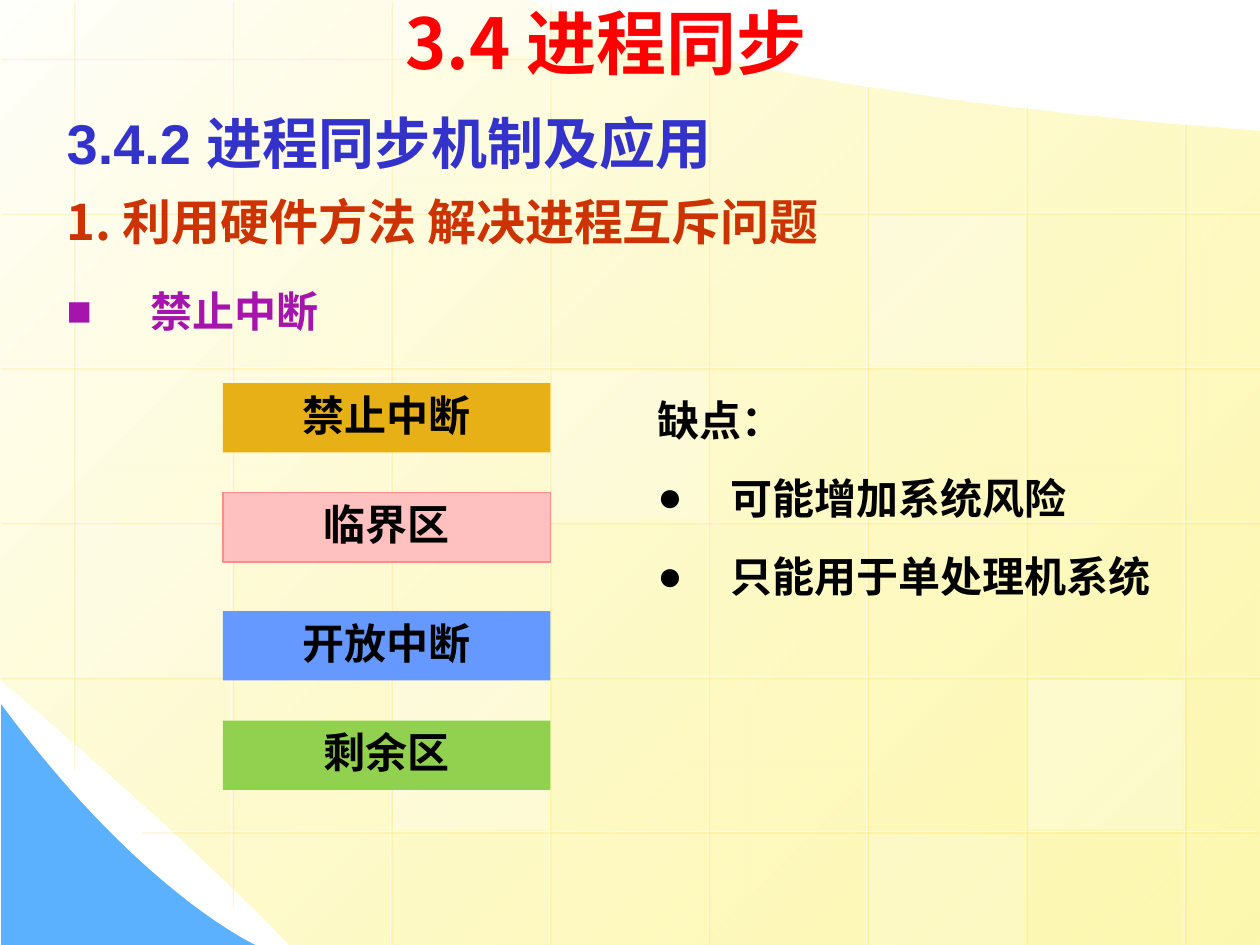
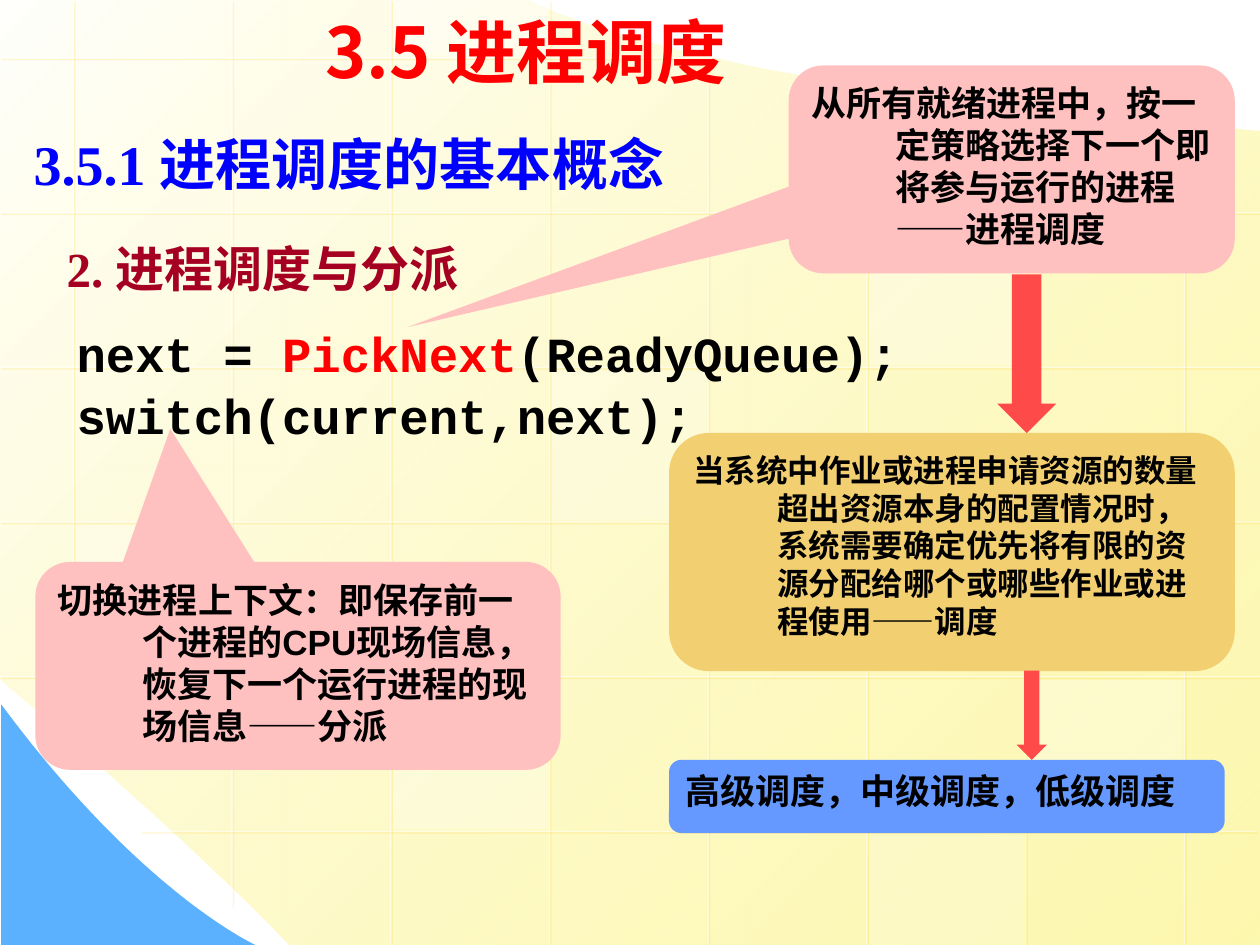
"""Build two slides on process synchronisation and scheduling."""
from lxml.etree import SubElement, fromstring
from pptx import Presentation
from pptx.dml.color import RGBColor
from pptx.enum.shapes import MSO_CONNECTOR, MSO_SHAPE
from pptx.enum.text import MSO_ANCHOR, MSO_AUTO_SIZE, PP_ALIGN
from pptx.oxml.ns import nsdecls, qn
from pptx.util import Pt

HUES = {
    "white": "FFFFFF", "cream": "FFFFFB", "lemon": "FDF58D", "sky": "5CB1FE",
    "glow": "FFCC00", "red": "FF0000", "black": "000000", "violet": "A514AC",
    "indigo": "3333CC", "rust": "CC3300", "wine": "A50021", "blue": "0000FF",
    "gold": "E7B016", "pink": "FFC0C0", "rose": "FF8B8B", "azure": "6699FF",
    "green": "92D050", "coral": "FF4A4A", "sand": "F2D072",
}
SANS, ARIAL = "Noto Sans CJK SC", "Arial"
TIMES, MONO = "Times New Roman", "Courier New"
WIDE, HIGH = 720, 540

PAGE = [(720, 75), [(720, 540)], [(165.6, 540)],
        [(104, 476), (0, 388), (0, 388)], [(0, 0)], [(303, 0.5)],
        [(303, 0.5), (386.6, 49.7), (720, 75)]]
CURVE = [(0.7, 402.5), [(0.7, 540)], [(146, 540)],
         [(146, 540), (80.6, 510.5), (0.7, 402.5)]]
COLS = [(0, 438.5), (0, 517.7), (0, HIGH), (0, HIGH),
        (31, HIGH), (49, HIGH), (61, HIGH), (70.5, HIGH)]
ROWS = [(0, 409)] + [(0, WIDE)] * 4 + [(80, 718)]
TILES = [(3, 2, 25), (6, 4, 30), (0, 3, 20), (5, 5, 20),
         (2, -1, 40), (2, 4, 30), (5, 1, 30)]

SYNC = {
    "title": ("3.4 进程同步", (224.6, -2.2, 305.3, 51.8)),
    "texts": [
        ((31, 151.2, 283.7, 45.4), 1.3, 0.3, [
            ("■", 48, [("禁止中断", 24, TIMES, "violet")])]),
        ((31, 54.7, 538.6, 94.3), 1.1, 0.2, [
            ("", 0, [("3.4.2 进程同步机制及应用", 32, ARIAL, "indigo")]),
            ("", 0, [("1. 利用硬件方法 解决进程互斥问题", 28, SANS, "rust")])]),
        ((368.6, 213.1, 308.9, 164.2), 1.3, 0.3, [
            ("", 41.8, [("缺点：", 24, SANS, "black")]),
            ("●", 41.8, [("可能增加系统风险", 24, SANS, "black")]),
            ("●", 41.8, [("只能用于单处理机系统", 24, SANS, "black")])]),
    ],
}
STEPS = [("禁止中断", 218.9, "gold", None), ("临界区", 281.5, "pink", "rose"),
         ("开放中断", 349.2, "azure", None), ("剩余区", 411.8, "green", None)]

PLAN = {
    "title": ("3.5 进程调度", (178.6, -2.2, 414.7, 61.9)),
    "texts": [
        ((31, 122.4, 351.4, 51.1), 1.3, 0.3, [
            ("", 0, [("2. 进程调度与分派", 28, TIMES, "wine")])]),
        ((12.2, 70.6, 478, 46), 1, 0.3, [
            ("", 41.8, [("3.5.1 进程调度的基本概念", 32, TIMES, "blue")])]),
        ((36.7, 185, 516.2, 75), 0.9, 0.2, [
            ("", 27.4, [("next = ", 28, MONO, "black"),
                        ("PickNext", 28, MONO, "red"),
                        ("(ReadyQueue);", 28, MONO, "black")]),
            ("", 27.4, [("switch(current,next);", 28, MONO, "black")])]),
    ],
}
CALL, ROUND = MSO_SHAPE.ROUNDED_RECTANGULAR_CALLOUT, MSO_SHAPE.ROUNDED_RECTANGLE
ARROW = MSO_SHAPE.DOWN_ARROW
NOTES = [
    (CALL, (450.7, 37.4, 254.9, 118.8), (-1.355, 0.759, 0.167), "pink", 20,
     "从所有就绪进程中，按一定策略选择下一个即将参与运行的进程——进程调度"),
    (CALL, (20.2, 321.1, 300.2, 118.8), (-0.243, -1.14, 0.167), "pink", 20,
     "切换进程上下文：即保存前一个进程的CPU现场信息，恢复下一个运行进程的现场信息——分派"),
    (ARROW, (569.8, 156.8, 33.8, 90.7), (), "coral", 0, ""),
    (ROUND, (382.3, 247.4, 323.3, 136.1), (), "sand", 18,
     "当系统中作业或进程申请资源的数量超出资源本身的配置情况时，"
     "系统需要确定优先将有限的资源分配给哪个或哪些作业或进程使用——调度"),
    (ARROW, (581, 383.2, 17.3, 51), (), "coral", 0, ""),
    (ROUND, (382.3, 434.2, 317.5, 41.8), (), "azure", 20,
     "高级调度，中级调度，低级调度"),
]


def hue(name):
    return RGBColor.from_string(HUES[name])


def box(nums):
    return [Pt(n) for n in nums]


def fade(shape, part):
    """Make the one colour of a shape partly clear."""
    for tag in list(shape.element.spPr.iter(qn("a:srgbClr"))):
        SubElement(tag, qn("a:alpha")).set("val", str(part * 1000))


def paint(shape, fill, line=None):
    shape.shadow.inherit = False
    shape.fill.solid()
    shape.fill.fore_color.rgb = hue(fill)
    if line:
        shape.line.color.rgb = hue(line)
        shape.line.width = Pt(0.75)
    else:
        shape.line.fill.background()
    return shape


def write(para, runs):
    for text, size, face, ink in runs:
        run = para.add_run()
        run.text = text
        font = run.font
        font.size, font.bold, font.name = Pt(size), True, face
        font.color.rgb = hue(ink)
        east = SubElement(run.font._element, qn("a:ea"))
        east.set("typeface", SANS)


def hang(para, deep, mark=""):
    props = para._p.get_or_add_pPr()
    props.set("marL", str(Pt(deep)))
    props.set("indent", str(-Pt(deep)))
    if mark:
        SubElement(props, qn("a:buFont")).set("typeface", ARIAL)
        SubElement(props, qn("a:buChar")).set("char", mark)


def trace(slide, path, fill):
    """Draw a closed outline, with each cubic curve cut into short lines."""
    spot, dots = path[0], []
    for seg in path[1:]:
        if len(seg) == 3:
            ends = [spot] + seg
            for t in (i / 40 for i in range(1, 41)):
                mix = ((1 - t) ** 3, 3 * t * (1 - t) ** 2,
                       3 * t * t * (1 - t), t ** 3)
                dots.append(tuple(sum(m * e[k] for m, e in zip(mix, ends))
                                  for k in (0, 1)))
        else:
            dots += seg
        spot = seg[-1]
    form = slide.shapes.build_freeform(*box(path[0]))
    form.add_line_segments([box(dot) for dot in dots])
    return paint(form.convert_to_shape(), fill)


def rule(slide, ends):
    line = slide.shapes.add_connector(MSO_CONNECTOR.STRAIGHT, *box(ends))
    line.line.color.rgb = hue("white")
    line.line.width = Pt(0.75)
    fade(line, 50)
    line.element.spPr.append(fromstring(
        f'<a:effectLst {nsdecls("a")}><a:outerShdw dist="{Pt(1.4)}" '
        f'dir="2700000" algn="ctr" rotWithShape="0"><a:srgbClr '
        f'val="{HUES["glow"]}"><a:alpha val="34000"/></a:srgbClr>'
        f'</a:outerShdw></a:effectLst>'))


def col(i):
    return 41.8 + 90.7 * i


def row(i):
    return 33.1 + 88.4 * i


def scene(slide, layout):
    """Draw the shared backdrop and move it to the layout."""
    page = trace(slide, PAGE, "lemon")
    props = page.element.spPr
    props.replace(props.find(qn("a:solidFill")), fromstring(
        f'<a:gradFill {nsdecls("a")} rotWithShape="1"><a:gsLst>'
        f'<a:gs pos="0"><a:srgbClr val="{HUES["cream"]}"/></a:gs>'
        f'<a:gs pos="100000"><a:srgbClr val="{HUES["lemon"]}">'
        f'<a:alpha val="70000"/></a:srgbClr></a:gs></a:gsLst>'
        f'<a:lin ang="2700000" scaled="1"/></a:gradFill>'))
    trace(slide, CURVE, "sky")
    for i, (top, end) in enumerate(COLS):
        rule(slide, (col(i), top, col(i), end))
    for i, (left, end) in enumerate(ROWS):
        rule(slide, (end, row(i), left, row(i)))
    for x, y, part in TILES:
        top, end = max(0, row(y) + 2), min(HIGH, row(y) + 87)
        tile = slide.shapes.add_shape(
            MSO_SHAPE.RECTANGLE, *box((col(x) + 1.4, top, 88.5, end - top)))
        fade(paint(tile, "white"), part)
    tree = layout.shapes.element
    for hold in list(layout.placeholders)[1:]:
        tree.remove(hold.element)
    parts = [s.element for s in slide.shapes if not s.is_placeholder]
    for i, part in enumerate(parts):
        tree.insert(2 + i, part)


def head(slide, text, place):
    title = slide.shapes.title
    title.left, title.top, title.width, title.height = box(place)
    frame = title.text_frame
    frame.word_wrap, frame.auto_size = True, MSO_AUTO_SIZE.NONE
    frame.vertical_anchor = MSO_ANCHOR.MIDDLE
    para = frame.paragraphs[0]
    para.alignment = PP_ALIGN.LEFT
    write(para, [(text, 40, SANS, "red")])


def prose(slide, place, pitch, gap, paras):
    frame = slide.shapes.add_textbox(*box(place)).text_frame
    frame.word_wrap = True
    for i, (mark, deep, runs) in enumerate(paras):
        para = frame.add_paragraph() if i else frame.paragraphs[0]
        para.line_spacing = pitch
        if i:
            para.space_before = Pt(round(gap * runs[0][1], 1))
        hang(para, deep, mark)
        write(para, runs)


def block(slide, kind, place, fill, text, size, line=None, mid=False):
    shape = paint(slide.shapes.add_shape(kind, *box(place)), fill, line)
    if text:
        frame = shape.text_frame
        frame.word_wrap, frame.vertical_anchor = True, MSO_ANCHOR.TOP
        para = frame.paragraphs[0]
        para.alignment = PP_ALIGN.CENTER if mid else PP_ALIGN.LEFT
        hang(para, 0 if mid else 48.2)
        write(para, [(text, size, ARIAL, "black")])
    return shape


def main():
    deck = Presentation()
    deck.slide_width, deck.slide_height = Pt(WIDE), Pt(HIGH)
    layout = deck.slide_layouts[5]
    sync, plan = [deck.slides.add_slide(layout) for _ in range(2)]
    scene(sync, layout)
    for slide, data in ((sync, SYNC), (plan, PLAN)):
        head(slide, *data["title"])
        for item in data["texts"]:
            prose(slide, *item)
    for text, top, fill, line in STEPS:
        block(sync, MSO_SHAPE.RECTANGLE, (127.4, top, 187.2, 39.6),
              fill, text, 24, line, True)
    for kind, place, bends, fill, size, text in NOTES:
        shape = block(plan, kind, place, fill, text, size)
        for i, bend in enumerate(bends):
            shape.adjustments[i] = bend
    deck.save("out.pptx")


if __name__ == "__main__":
    main()
